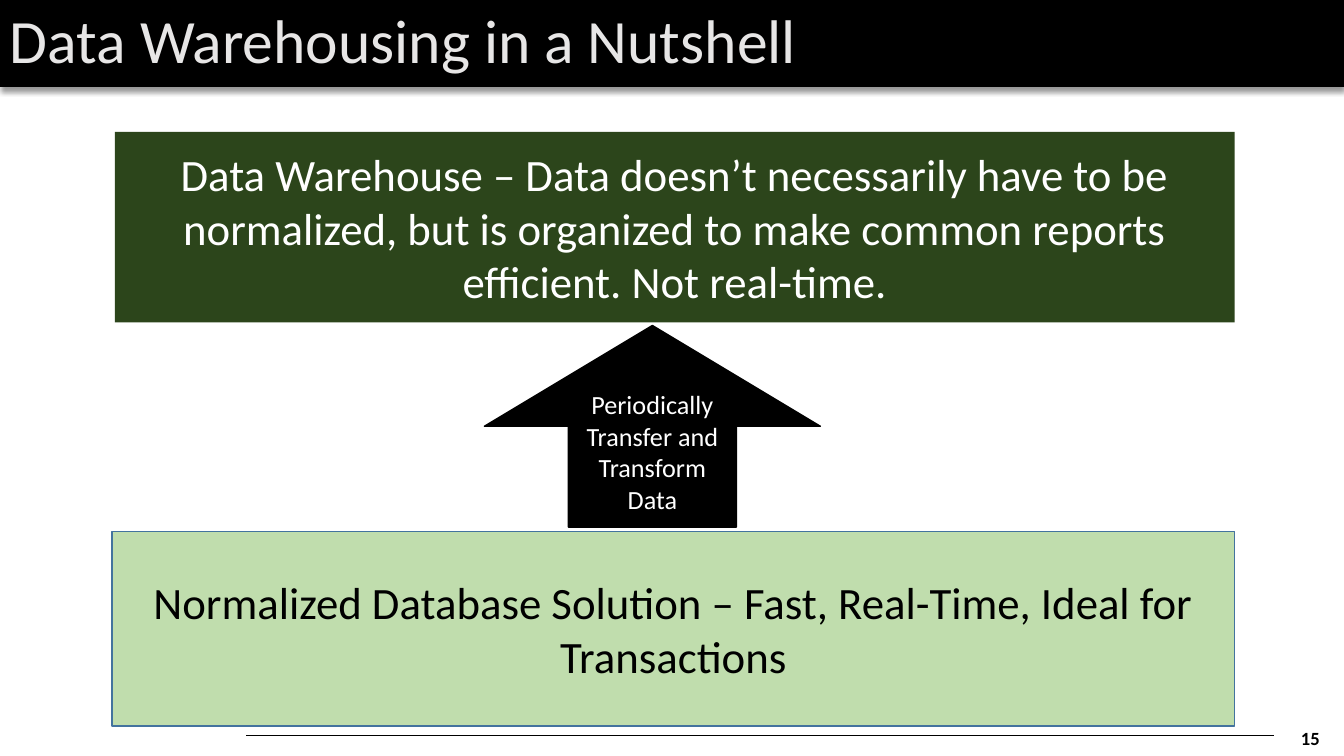
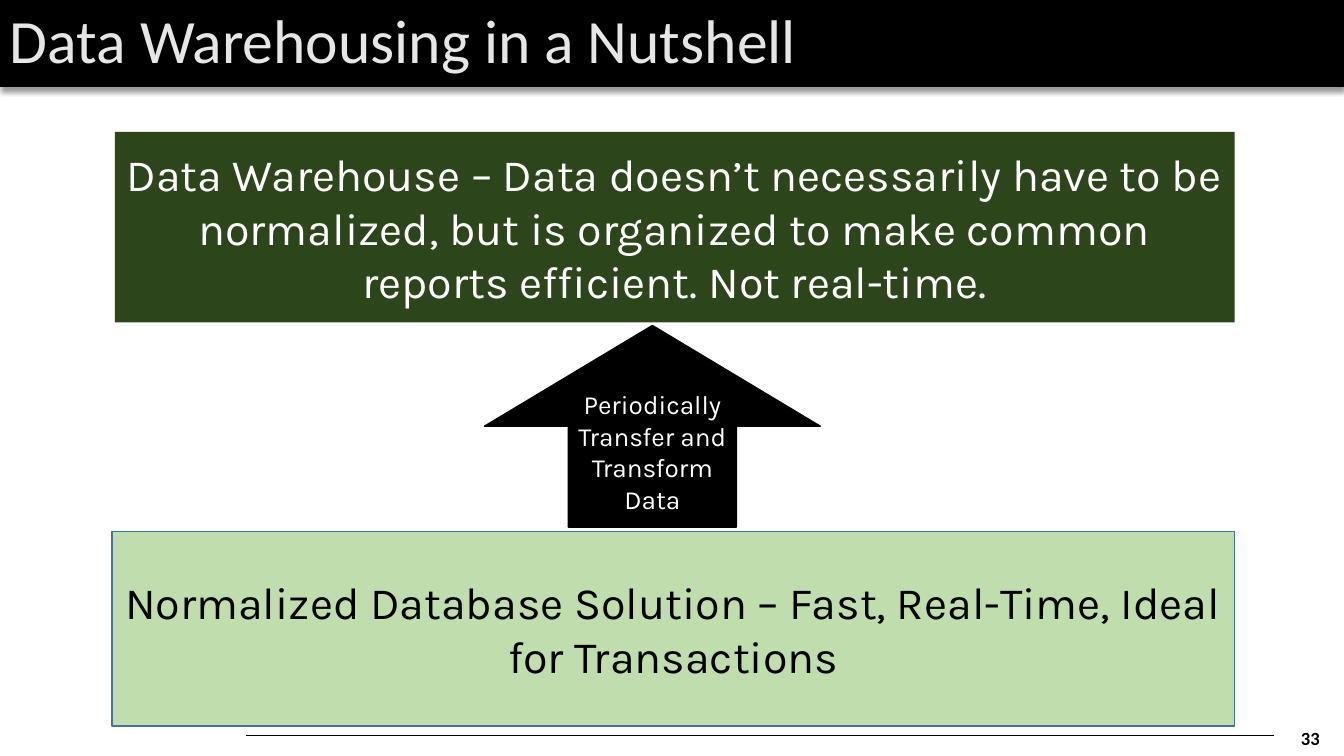
from dataclasses import dataclass

from lxml.etree import SubElement
from pptx import Presentation
from pptx.dml.color import RGBColor
from pptx.enum.shapes import MSO_CONNECTOR, MSO_SHAPE
from pptx.enum.text import MSO_ANCHOR, PP_ALIGN
from pptx.oxml.ns import qn
from pptx.util import Pt

WIDTH, HEIGHT = 960, 540
BLACK, WHITE, GRAY = "000000", "FFFFFF", "E7E6E6"
FOREST, MINT, BLUE = "2C451B", "C0DDAD", "43739E"
TITLE = "Data Warehousing in a Nutshell"


@dataclass(frozen=True)
class Box:
    text: str
    left: float
    top: float
    width: float
    height: float
    fill: str
    ink: str
    size: float = 32
    edge: str = ""
    form: MSO_SHAPE = MSO_SHAPE.RECTANGLE


@dataclass(frozen=True)
class Page:
    number: str
    font: str


BANNER = Box(TITLE, 0, 0, WIDTH, 62, BLACK, GRAY, 44)
STAGES = (
    Box("Normalized Database Solution – Fast, Real-Time, Ideal for Transactions",
        80, 379.5, 802, 139, MINT, BLACK, edge=BLUE),
    Box("Data Warehouse – Data doesn’t necessarily have to be normalized, "
        "but is organized to make common reports efficient. Not real-time.",
        82, 94.3, 800, 136, FOREST, WHITE),
    Box("Periodically Transfer and Transform Data",
        346, 232.5, 240, 144, BLACK, WHITE, 18.7, BLACK, MSO_SHAPE.UP_ARROW),
)
PAGES = (Page("15", "Calibri"), Page("33", "Karla"))


def color(value: str) -> RGBColor:
    return RGBColor.from_string(value)


def write(frame, text: str, *, size: float, ink: str = BLACK, font: str = "Calibri",
          bold: bool = False, align=PP_ALIGN.CENTER, anchor=MSO_ANCHOR.MIDDLE,
          spacing: float = 1.0) -> None:
    frame.word_wrap = True
    frame.vertical_anchor = anchor
    para = frame.paragraphs[0]
    para.alignment = align
    para.line_spacing = spacing
    run = para.add_run()
    run.text = text
    run.font.size = Pt(size)
    run.font.name = font
    run.font.bold = bold
    run.font.color.rgb = color(ink)


def draw(slide, box: Box, **style):
    shape = slide.shapes.add_shape(
        box.form, Pt(box.left), Pt(box.top), Pt(box.width), Pt(box.height))
    shape.shadow.inherit = False
    shape.fill.solid()
    shape.fill.fore_color.rgb = color(box.fill)
    if box.edge:
        shape.line.color.rgb = color(box.edge)
        shape.line.width = Pt(1)
    else:
        shape.line.fill.background()
    write(shape.text_frame, box.text, size=box.size, ink=box.ink, **style)
    return shape


def shade(shape) -> None:
    effects = shape.element.spPr.find(qn("a:effectLst"))
    shadow = SubElement(effects, qn("a:outerShdw"), blurRad=str(Pt(4)),
                        dist=str(Pt(3)), dir="5400000", algn="t", rotWithShape="0")
    tint = SubElement(shadow, qn("a:srgbClr"), val=BLACK)
    SubElement(tint, qn("a:alpha"), val="40000")


def footer(slide, number: str) -> None:
    rule = slide.shapes.add_connector(
        MSO_CONNECTOR.STRAIGHT, Pt(910), Pt(525.6), Pt(175.5), Pt(525.6))
    rule.line.color.rgb = color(BLACK)
    rule.line.width = Pt(0.5)
    SubElement(rule.element.spPr, qn("a:effectLst"))
    label = slide.shapes.add_textbox(Pt(920), Pt(512.6), Pt(32), Pt(26))
    frame = label.text_frame
    frame.margin_left = frame.margin_right = Pt(3.6)
    frame.margin_top = frame.margin_bottom = Pt(3.6)
    write(frame, number, size=13.3, bold=True, anchor=MSO_ANCHOR.BOTTOM)


def build(deck, page: Page) -> None:
    slide = deck.slides.add_slide(deck.slide_layouts[6])
    footer(slide, page.number)
    shade(draw(slide, BANNER, align=PP_ALIGN.LEFT, spacing=0.9))
    for stage in STAGES:
        draw(slide, stage, font=page.font)


def main() -> None:
    deck = Presentation()
    deck.slide_width, deck.slide_height = Pt(WIDTH), Pt(HEIGHT)
    for page in PAGES:
        build(deck, page)
    deck.save("out.pptx")


if __name__ == "__main__":
    main()
